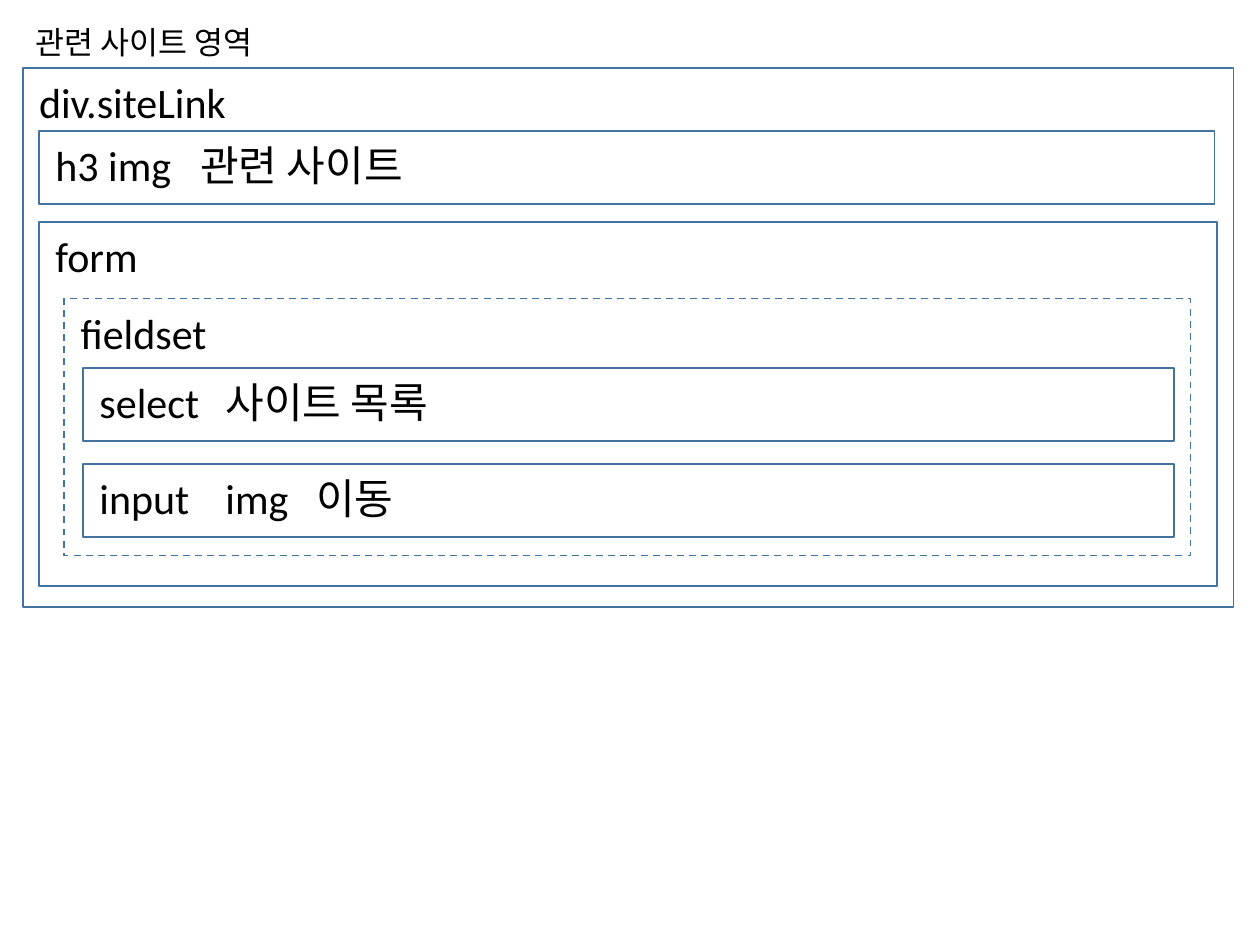
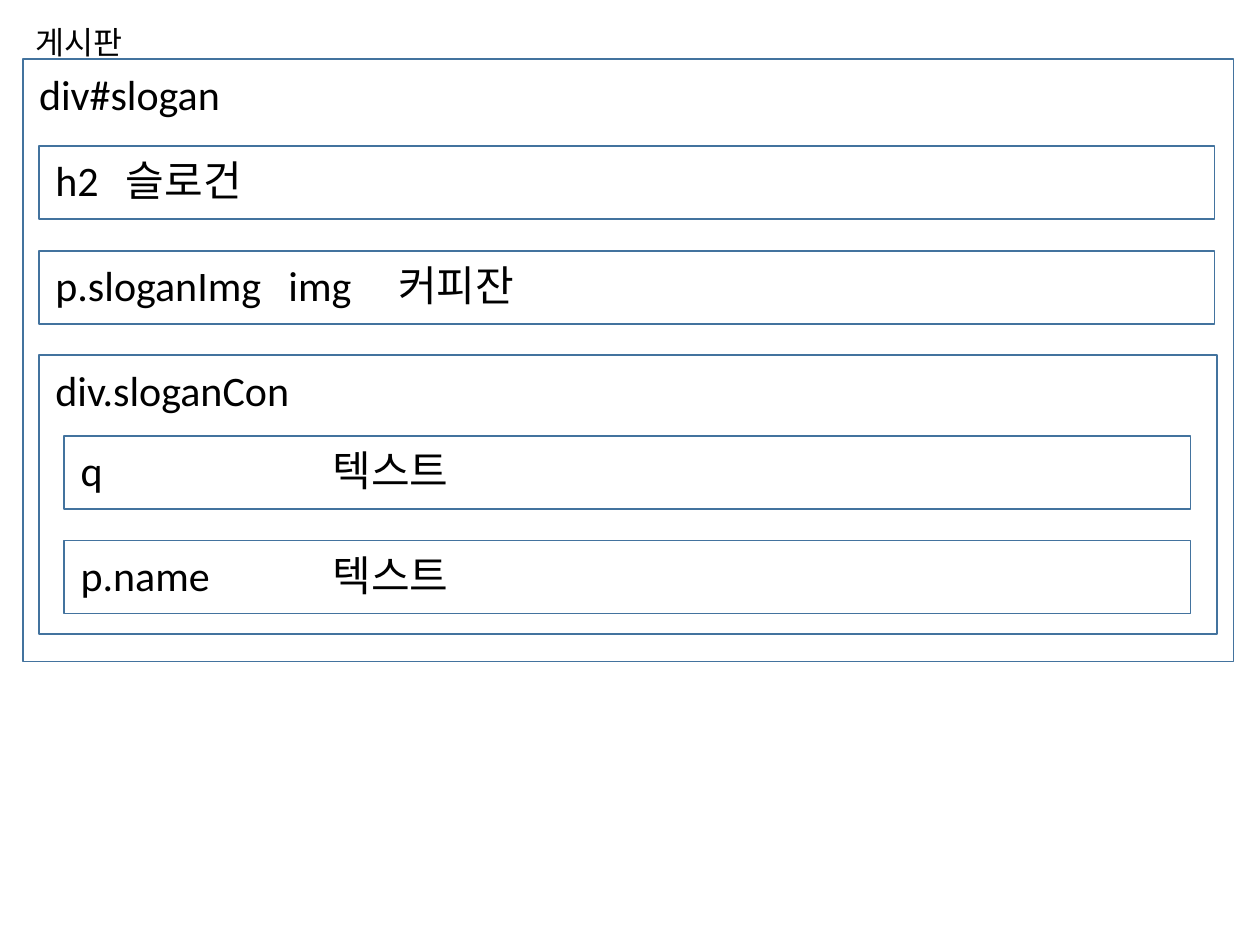
from pptx import Presentation
from pptx.dml.color import RGBColor
from pptx.enum.dml import MSO_LINE
from pptx.enum.shapes import MSO_SHAPE
from pptx.enum.text import MSO_ANCHOR, MSO_AUTO_SIZE, PP_ALIGN
from pptx.oxml.ns import qn
from pptx.util import Inches, Pt
from lxml.etree import SubElement

BLACK = RGBColor(0x00, 0x00, 0x00)
WHITE = RGBColor(0xFF, 0xFF, 0xFF)
BLUE = RGBColor(0x43, 0x73, 0x9E)
FONT = "Calibri"

ROW_H = 0.58
PITCH = 0.83
COLUMNS = {
    "page": (0.18, 9.61),
    "row": (0.31, 9.33),
    "group": (0.31, 9.35),
    "inner": (0.51, 8.94),
    "field": (0.66, 8.66),
}

SLIDES = [
    {
        "title": ("관련 사이트 영역", 2.08),
        "boxes": [
            ("page", 0.54, 4.28, "div.siteLink", []),
            ("row", 1.04, ROW_H, "h3 img\t관련 사이트", [1.15]),
            ("group", 1.76, 2.89, "form", []),
            ("inner", 2.37, 2.04, "fieldset", []),
            ("field", 2.92, ROW_H, "select\t사이트 목록", [1]),
            ("field", 3.68, ROW_H, "input\timg\t이동", [1, 1.72]),
        ],
        "dashed": "fieldset",
    },
    {
        "title": ("게시판", 0.96),
        "boxes": [
            ("page", 0.47, 4.78, "div#slogan", []),
            ("row", 1.16, ROW_H, "h2\t슬로건", [0.56]),
            ("row", 1.16 + PITCH, ROW_H, "p.sloganImg\timg\t커피잔", [1.85, 2.72]),
            ("group", 1.16 + 2 * PITCH, 2.21, "div.sloganCon", []),
            ("inner", 3.46, ROW_H, "q\t텍스트", [2]),
            ("inner", 3.46 + PITCH, ROW_H, "p.name\t텍스트", [2]),
        ],
        "dashed": None,
    },
]


def write(tf, text, size, tabs=()):
    tf.vertical_anchor = MSO_ANCHOR.TOP
    p = tf.paragraphs[0]
    p.alignment = PP_ALIGN.LEFT
    if tabs:
        tab_list = SubElement(p._p.get_or_add_pPr(), qn("a:tabLst"))
        for pos in tabs:
            SubElement(tab_list, qn("a:tab"), pos=str(Inches(pos)), algn="l")
    r = p.add_run()
    r.text = text
    r.font.name = FONT
    r.font.size = Pt(size)
    r.font.color.rgb = BLACK


def add_title(s, text, width):
    sp = s.shapes.title
    sp.left, sp.top = Inches(0.18), Inches(0.13)
    sp.width, sp.height = Inches(width), Inches(0.4)
    tf = sp.text_frame
    tf.word_wrap = False
    tf.auto_size = MSO_AUTO_SIZE.SHAPE_TO_FIT_TEXT
    write(tf, text, 18)


def add_box(s, column, top, height, text, tabs, dashed):
    left, width = COLUMNS[column]
    sp = s.shapes.add_shape(MSO_SHAPE.RECTANGLE, Inches(left), Inches(top),
                            Inches(width), Inches(height))
    sp.shadow.inherit = False
    sp.fill.solid()
    sp.fill.fore_color.rgb = WHITE
    sp.line.color.rgb = BLUE
    sp.line.width = Pt(1)
    if dashed:
        sp.line.dash_style = MSO_LINE.DASH
    tf = sp.text_frame
    tf.word_wrap = True
    tf.margin_left = tf.margin_right = Inches(0.13)
    tf.margin_top = tf.margin_bottom = Inches(0.07)
    write(tf, text, 24, tabs)


def main():
    prs = Presentation()
    prs.slide_width, prs.slide_height = Inches(10), Inches(7.5)
    for content in SLIDES:
        s = prs.slides.add_slide(prs.slide_layouts[5])
        add_title(s, *content["title"])
        for box in content["boxes"]:
            add_box(s, *box, dashed=box[3] == content["dashed"])
    prs.save("out.pptx")


if __name__ == "__main__":
    main()
